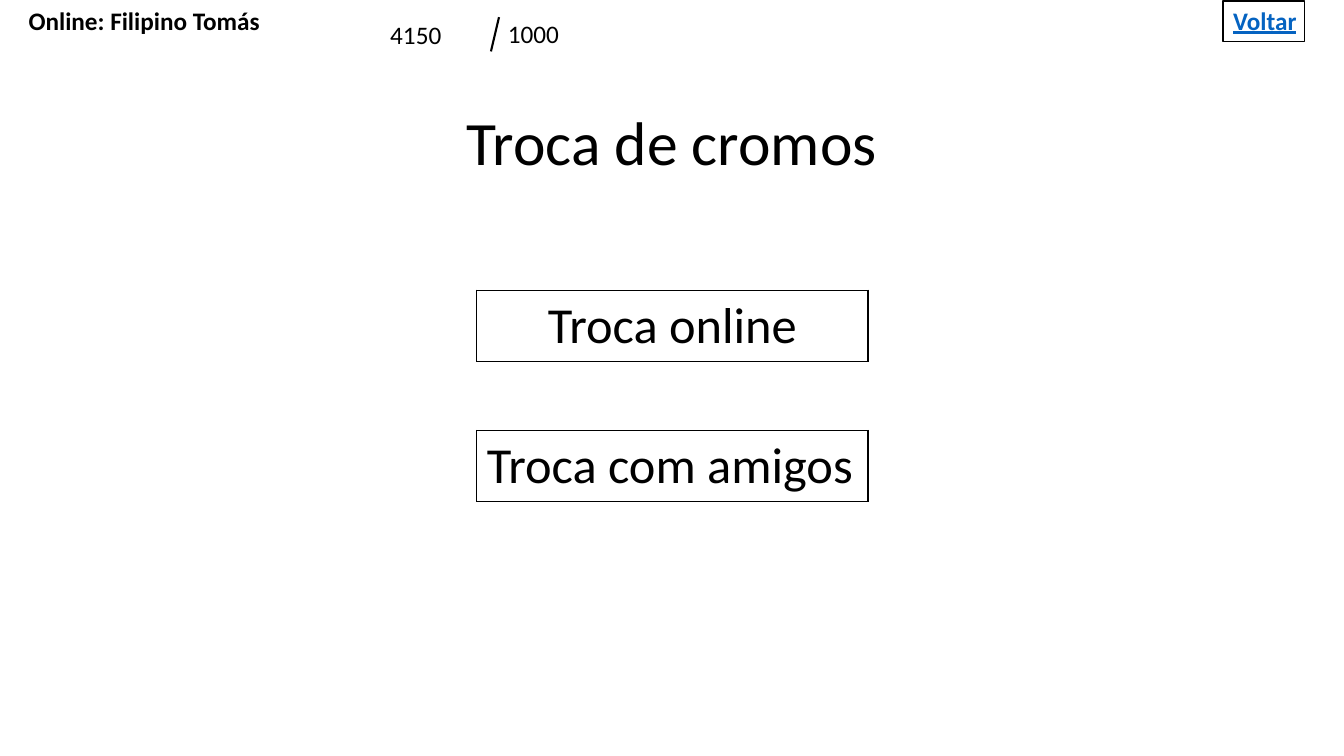
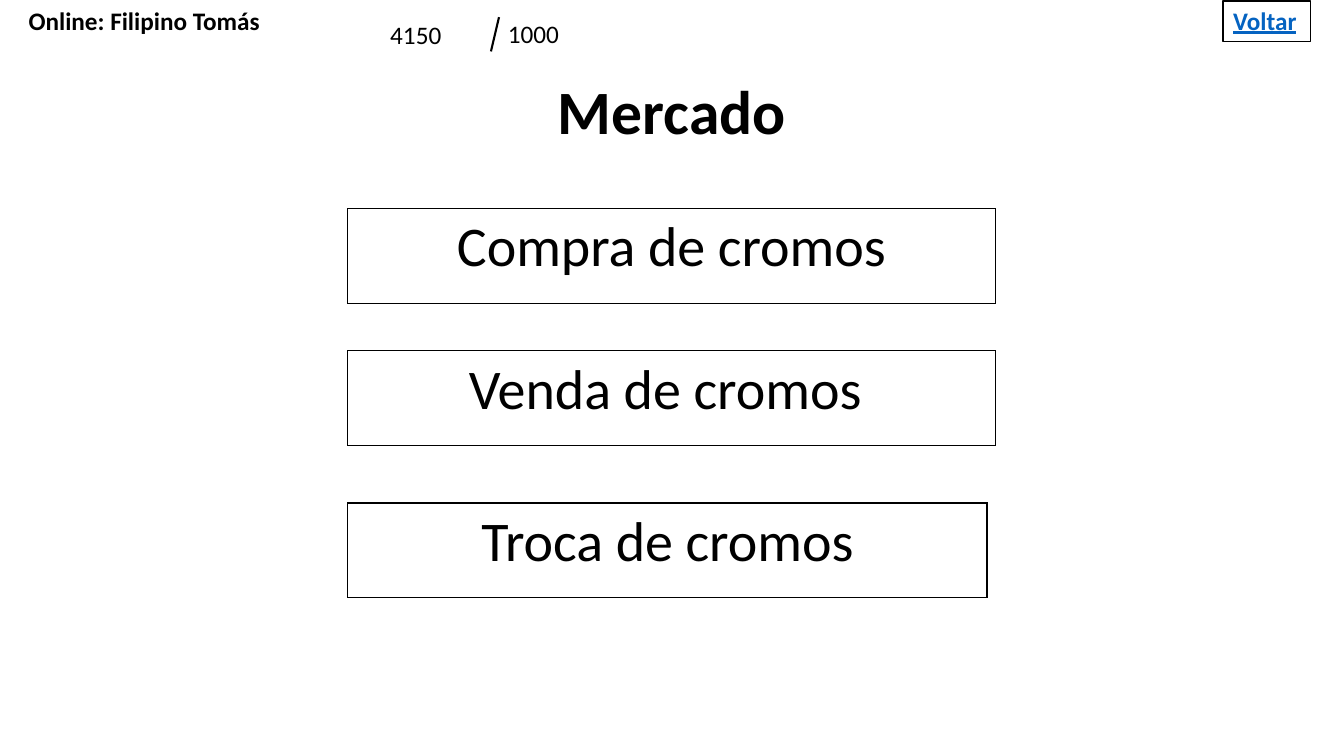
from lxml.etree import SubElement
from pptx import Presentation
from pptx.dml.color import RGBColor
from pptx.enum.shapes import MSO_CONNECTOR as Conn, MSO_SHAPE as Shape
from pptx.enum.text import MSO_ANCHOR as Anchor, MSO_AUTO_SIZE as Fit, PP_ALIGN as Align
from pptx.oxml import parse_xml
from pptx.oxml.ns import nsdecls, qn
from pptx.util import Inches, Pt

BLACK = RGBColor(0x00, 0x00, 0x00)
WHITE = RGBColor(0xFF, 0xFF, 0xFF)
BLUE = RGBColor(0x05, 0x63, 0xC1)
FONT = "Calibri"
WIDE, HIGH = Inches(13.33), Inches(7.5)
MID = 50
BAR = 5.47
BACK = 91


def place(x, y, w, h):
    return (int(WIDE * x / 100), int(HIGH * y / 100),
            int(WIDE * w / 100), int(HIGH * h / 100))


def write(frame, text, size, color=BLACK, bold=False, line=False, align=Align.LEFT):
    para = frame.paragraphs[0]
    para.text = text
    para.alignment = align
    font = para.font
    font.name, font.size = FONT, Pt(size)
    font.bold, font.underline = bold, line
    font.color.rgb = color


def add_title(slide, text, y, w, bold=False):
    title = slide.shapes.title
    title.left, title.top, title.width, title.height = place(MID - w / 2, y, w, 11.2)
    frame = title.text_frame
    frame.auto_size = Fit.NONE
    frame.vertical_anchor = Anchor.TOP
    write(frame, text, 44, bold=bold, align=Align.CENTER)


def add_label(slide, text, box):
    frame = slide.shapes.add_textbox(*place(*box)).text_frame
    frame.word_wrap = True
    write(frame, text, 18)


def add_edges(cell, color, base):
    props = cell._tc.get_or_add_tcPr()
    widths = {"L": 1, "R": 1, "T": 1, "B": base}
    for spot, (side, width) in enumerate(widths.items()):
        props.insert(spot, parse_xml(
            f'<a:ln{side} {nsdecls("a")} w="{Pt(width)}"><a:solidFill>'
            f'<a:srgbClr val="{color}"/></a:solidFill></a:ln{side}>'))


def add_cell(slide, text, box, size, edge=None, base=1, fill=None, **style):
    table = slide.shapes.add_table(1, 1, *place(*box)).table
    table.first_row = table.horz_banding = False
    cell = table.cell(0, 0)
    if fill is None:
        cell.fill.background()
    else:
        cell.fill.solid()
        cell.fill.fore_color.rgb = fill
    if edge is not None:
        add_edges(cell, edge, base)
    write(cell.text_frame, text, size, **style)
    return cell


def add_slash(slide):
    x, y, end, top = place(36.53, 6.8, 37.13, 2.27)
    slash = slide.shapes.add_connector(Conn.STRAIGHT, x, y, end, top)
    slash.line.color.rgb = BLACK
    slash.line.width = Pt(1.5)
    SubElement(slash._element.spPr, qn("a:effectLst"))


def add_frame(slide, box):
    frame = slide.shapes.add_shape(Shape.RECTANGLE, *place(*box))
    frame.shadow.inherit = False
    frame.fill.background()
    frame.line.color.rgb = BLACK
    frame.line.width = Pt(1)


def add_head(slide, width):
    user = add_cell(slide, "Online: Filipino Tomás", (1, 0.13, 19.5, BAR), 18,
                    edge=WHITE, base=3, fill=WHITE, bold=True)
    user.margin_left = Inches(0.15)
    add_label(slide, "4150", (28.3, 1.87, 9.6, 5.33))
    add_label(slide, "1000", (37.06, 1.73, 12.9, 5.33))
    add_slash(slide)
    add_cell(slide, "Voltar", (BACK, 0.13, 7.28, BAR), 18,
             color=BLUE, bold=True, line=True)
    add_frame(slide, (BACK, 0.13, width, 5.4))


def add_menu(slide, x, h, size, items):
    for text, y, w, align in items:
        add_cell(slide, text, (x, y, w, h), size, edge=BLACK, align=align)


def add_page(deck, title, back, menu):
    slide = deck.slides.add_slide(deck.slide_layouts[5])
    add_title(slide, *title)
    add_head(slide, back)
    add_menu(slide, *menu)


def main():
    deck = Presentation()
    deck.slide_width, deck.slide_height = WIDE, HIGH
    add_page(deck, ("Troca de cromos", 13.07, 32.2), 6.08, (35.48, 9.4, 36, [
        ("Troca online", 38.4, 29.1, Align.CENTER),
        ("Troca com amigos", 56.93, 29.1, Align.LEFT)]))
    add_page(deck, ("Mercado", 8.93, 18.8, True), 6.53, (25.88, 12.53, 40, [
        ("Compra de cromos", 27.6, 48.16, Align.CENTER),
        ("Venda de cromos ", 46.4, 48.16, Align.CENTER),
        ("Troca de cromos", 66.53, 47.56, Align.CENTER)]))
    deck.save("out.pptx")


if __name__ == "__main__":
    main()
